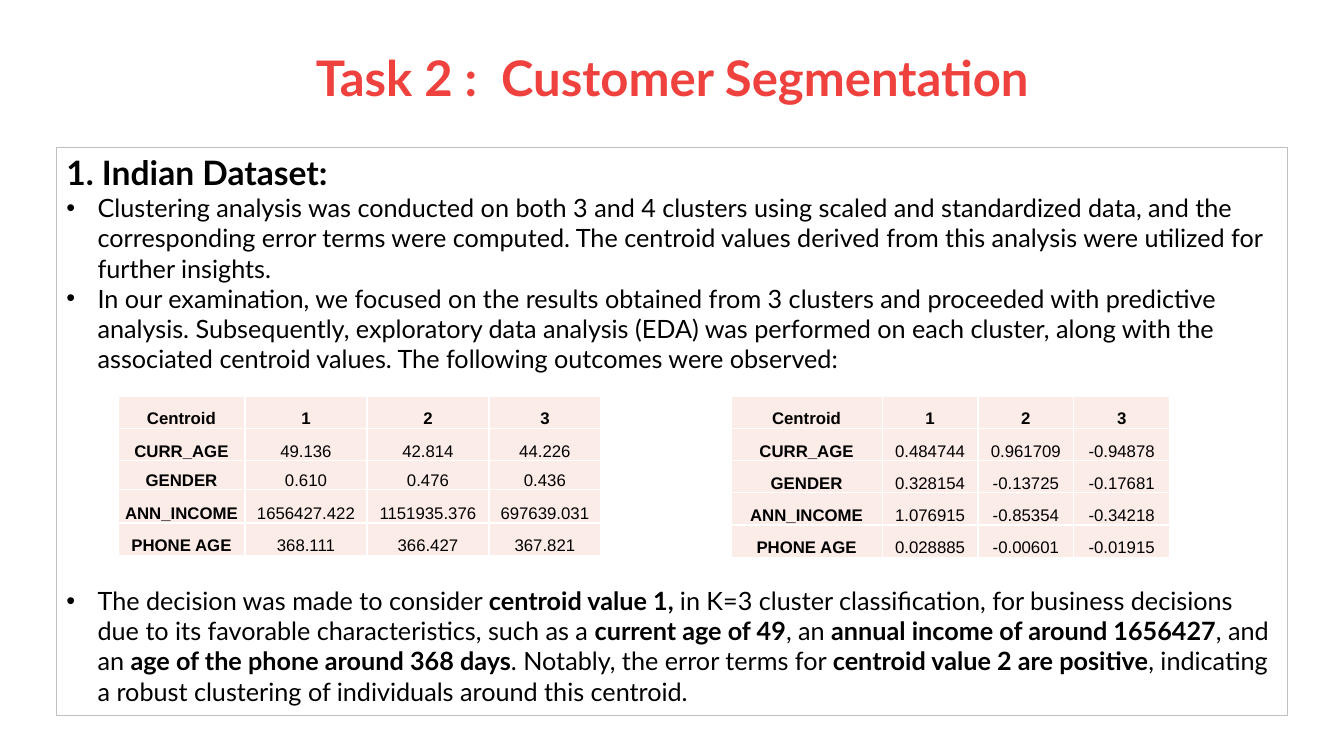
"""Build the customer segmentation slide with two centroid tables."""
import lxml.etree
import pptx
import pptx.dml.color
import pptx.enum.shapes
import pptx.enum.text
import pptx.oxml.ns
import pptx.util

Inches = pptx.util.Inches
Pt = pptx.util.Pt

TITLE = "Task 2 :  Customer Segmentation"
HEADING = "1. Indian Dataset:"
BULLETS = [
    [("Clustering analysis was conducted on both 3 and 4 clusters using scaled and "
      "standardized data, and the corresponding error terms were computed. The centroid "
      "values derived from this analysis were utilized for further insights.", False)],
    [("In our examination, we focused on the results obtained from 3 clusters and proceeded "
      "with predictive analysis. Subsequently, exploratory data analysis (EDA) was performed "
      "on each cluster, along with the associated centroid values. The following outcomes "
      "were observed:", False)],
    [("The decision was made to consider ", False),
     ("centroid value 1, ", True),
     ("in K=3 cluster classification, for business decisions due to its favorable "
      "characteristics, such as a ", False),
     ("current age of 49", True),
     (", an ", False),
     ("annual income of around 1656427", True),
     (", and an ", False),
     ("age of the phone around 368 days", True),
     (". Notably, the error terms for ", False),
     ("centroid value 2 are positive", True),
     (", indicating a robust clustering of individuals around this centroid.", False)],
]
TABLE_GAP = 151
HEADER = ["Centroid", "1", "2", "3"]
LABELS = ["CURR_AGE", "GENDER", "ANN_INCOME", "PHONE AGE"]
TABLES = [
    {"left": 7.25, "columns": [1.5, 0.95, 0.95, 0.95],
     "rows": [0.32, 0.32, 0.32, 0.32, 0.32],
     "values": [["0.484744", "0.961709", "-0.94878"],
                ["0.328154", "-0.13725", "-0.17681"],
                ["1.076915", "-0.85354", "-0.34218"],
                ["0.028885", "-0.00601", "-0.01915"]]},
    {"left": 1.17, "columns": [1.26, 1.21, 1.21, 1.11],
     "rows": [0.32, 0.32, 0.29, 0.33, 0.32],
     "values": [["49.136", "42.814", "44.226"],
                ["0.610", "0.476", "0.436"],
                ["1656427.422", "1151935.376", "697639.031"],
                ["368.111", "366.427", "367.821"]]},
]
TABLE_TOP = 3.93


def color(value):
    return pptx.dml.color.RGBColor.from_string(value)


def add_run(paragraph, text, size, font, ink, bold):
    run = paragraph.add_run()
    run.text = text
    run.font.size = Pt(size)
    run.font.name = font
    run.font.bold = bold
    run.font.color.rgb = color(ink)


def add_child(parent, tag, **attributes):
    return lxml.etree.SubElement(parent, pptx.oxml.ns.qn(tag), attributes)


def add_bullet(paragraph):
    properties = paragraph._p.get_or_add_pPr()
    properties.set("marL", str(Inches(0.31)))
    properties.set("indent", str(Inches(-0.31)))
    add_child(add_child(properties, "a:buClr"), "a:srgbClr", val="000000")
    add_child(properties, "a:buFont", typeface="Arial")
    add_child(properties, "a:buChar", char="•")


def add_title(slide):
    box = slide.shapes.add_textbox(Inches(0.92), Inches(0.39), Inches(11.5), Inches(0.75))
    frame = box.text_frame
    frame.word_wrap = True
    frame.vertical_anchor = pptx.enum.text.MSO_ANCHOR.MIDDLE
    paragraph = frame.paragraphs[0]
    paragraph.alignment = pptx.enum.text.PP_ALIGN.CENTER
    add_run(paragraph, TITLE, 35, "Lato", "EF413D", True)


def add_body(slide):
    shape = slide.shapes.add_shape(pptx.enum.shapes.MSO_SHAPE.RECTANGLE,
                                   Inches(0.56), Inches(1.46), Inches(12.21), Inches(5.64))
    shape.shadow.inherit = False
    shape.fill.background()
    shape.line.color.rgb = color("BFBFBF")
    shape.line.width = Pt(0.75)
    frame = shape.text_frame
    frame.word_wrap = True
    frame.vertical_anchor = pptx.enum.text.MSO_ANCHOR.TOP
    add_run(frame.paragraphs[0], HEADING, 24, "Lato", "000000", True)
    for runs in BULLETS:
        paragraph = frame.add_paragraph()
        add_bullet(paragraph)
        for text, bold in runs:
            add_run(paragraph, text, 18, "Lato", "000000", bold)
    frame.paragraphs[-1].space_before = Pt(TABLE_GAP)
    for paragraph in frame.paragraphs:
        paragraph.alignment = pptx.enum.text.PP_ALIGN.LEFT


def format_cell(cell, text, bold):
    cell.vertical_anchor = pptx.enum.text.MSO_ANCHOR.BOTTOM
    cell.margin_left = cell.margin_right = cell.margin_top = Inches(0.01)
    cell.margin_bottom = 0
    paragraph = cell.text_frame.paragraphs[0]
    paragraph.alignment = pptx.enum.text.PP_ALIGN.CENTER
    add_run(paragraph, text, 12, "Arial", "000000", bold)
    properties = cell._tc.get_or_add_tcPr()
    for side in ("a:lnL", "a:lnR", "a:lnT", "a:lnB"):
        border = add_child(properties, side, w=str(Pt(1)))
        add_child(add_child(border, "a:solidFill"), "a:srgbClr", val="FFFFFF")
    cell.fill.solid()
    cell.fill.fore_color.rgb = color("FCECE8")


def add_centroids(slide, content):
    grid = [HEADER] + [[label] + row for label, row in zip(LABELS, content["values"])]
    frame = slide.shapes.add_table(len(grid), len(HEADER), Inches(content["left"]),
                                   Inches(TABLE_TOP), Inches(sum(content["columns"])),
                                   Inches(sum(content["rows"])))
    table = frame.table
    table.first_row = table.horz_banding = False
    for column, width in zip(table.columns, content["columns"]):
        column.width = Inches(width)
    for row, height in zip(table.rows, content["rows"]):
        row.height = Inches(height)
    for row_index, row in enumerate(grid):
        for column_index, text in enumerate(row):
            format_cell(table.cell(row_index, column_index), text,
                        row_index == 0 or column_index == 0)


def main():
    presentation = pptx.Presentation()
    presentation.slide_width = Inches(13.33)
    presentation.slide_height = Inches(7.5)
    slide = presentation.slides.add_slide(presentation.slide_layouts[6])
    add_title(slide)
    add_body(slide)
    for content in TABLES:
        add_centroids(slide, content)
    presentation.save("out.pptx")


if __name__ == "__main__":
    main()
